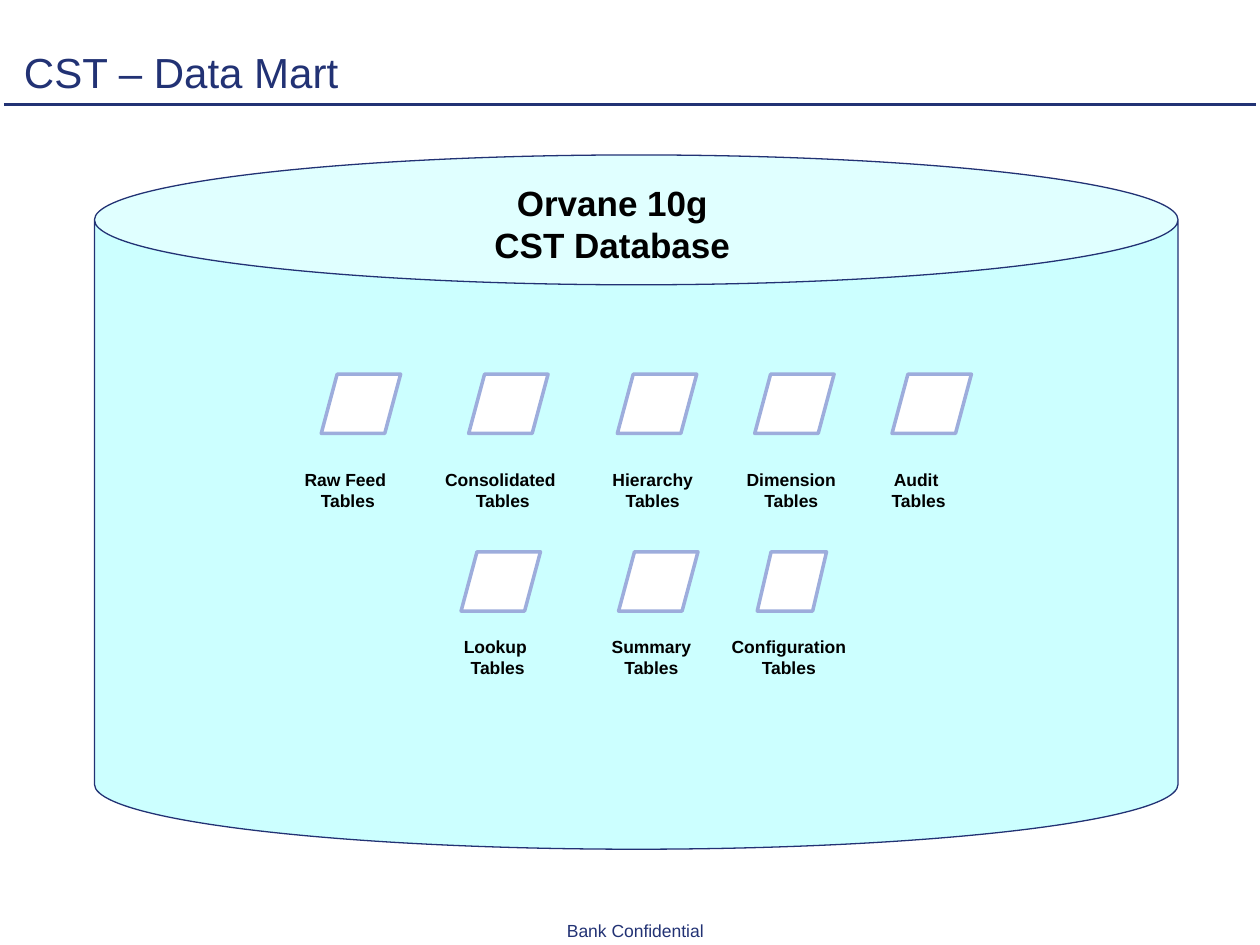
from dataclasses import dataclass
from typing import Any

from lxml import etree
from pptx import Presentation
from pptx import util as u
from pptx.dml.color import RGBColor
from pptx.enum import shapes, text
from pptx.oxml.ns import qn

# Parallelogram left and width, label left and width, label lines
ROWS = [
    (2.97, 3.67, [
        (2.55, 0.63, 2.19, 1.14, ["Raw Feed ", "Tables"]),
        (3.72, 0.63, 3.28, 1.42, ["Consolidated ", "Tables"]),
        (4.9, 0.63, 4.69, 0.98, ["Hierarchy", "Tables"]),
        (5.99, 0.63, 5.71, 1.14, ["Dimension", "Tables"]),
        (7.08, 0.63, 6.72, 1.14, ["Audit ", "Tables"]),
    ]),
    (4.38, 5, [
        (3.66, 0.63, 3.38, 1.14, ["Lookup ", "Tables"]),
        (4.91, 0.63, 4.6, 1.14, ["Summary", "Tables"]),
        (6.01, 0.55, 5.69, 1.14, ["Configuration Tables"]),
    ]),
]


def color(value):
    return RGBColor.from_string(value)


def inches(*lengths):
    return [u.Inches(length) for length in lengths]


def write(frame, lines, size, ink, font="Arial", bold=False, align=text.PP_ALIGN.LEFT,
          anchor=text.MSO_ANCHOR.TOP, margins=(0.1, 0.05), spacing=None):
    frame.word_wrap = True
    frame.auto_size = text.MSO_AUTO_SIZE.SHAPE_TO_FIT_TEXT
    frame.vertical_anchor = anchor
    frame.margin_left = frame.margin_right = u.Inches(margins[0])
    frame.margin_top = frame.margin_bottom = u.Inches(margins[1])
    for index, line in enumerate(lines):
        paragraph = frame.add_paragraph() if index else frame.paragraphs[0]
        paragraph.text = line
        paragraph.alignment = align
        paragraph.line_spacing = spacing
        paragraph.font.name = font
        paragraph.font.size = u.Pt(size)
        paragraph.font.bold = bold
        paragraph.font.color.rgb = color(ink)


@dataclass
class Deck:
    slide: Any
    navy: str = "223274"
    black: str = "000000"
    white: str = "FFFFFF"
    aqua: str = "CCFFFF"
    lavender: str = "9DADDC"

    def title(self, wording, *box):
        shape = self.slide.shapes.title
        shape.left, shape.top, shape.width, shape.height = inches(*box)
        write(shape.text_frame, [wording], 24, self.navy, anchor=text.MSO_ANCHOR.BOTTOM,
              margins=(0.02, 0.01), spacing=0.9)

    def rule(self, *ends):
        line = self.slide.shapes.add_connector(shapes.MSO_CONNECTOR.STRAIGHT, *inches(*ends))
        line.line.color.rgb = color(self.navy)
        line.line.width = u.Pt(1.75)
        etree.SubElement(line._element.spPr, qn("a:effectLst"))

    def shape(self, kind, fill, outline, weight, *box):
        shape = self.slide.shapes.add_shape(kind, *inches(*box))
        shape.shadow.inherit = False
        shape.fill.solid()
        shape.fill.fore_color.rgb = color(fill)
        shape.line.color.rgb = color(outline)
        shape.line.width = u.Pt(weight)
        return shape

    def database(self, *box):
        can = self.shape(shapes.MSO_SHAPE.CAN, self.aqua, self.navy, 0.75, *box)
        can.adjustments[0] = 0.187

    def table_icon(self, *box):
        self.shape(shapes.MSO_SHAPE.FLOWCHART_DATA, self.white, self.lavender, 2, *box)

    def label(self, lines, size, *box):
        frame = self.slide.shapes.add_textbox(*inches(*box)).text_frame
        write(frame, lines, size, self.black, bold=True, align=text.PP_ALIGN.CENTER)

    def footer(self, wording, *box):
        frame = self.slide.shapes.add_textbox(*inches(*box)).text_frame
        write(frame, [wording], 10, self.navy, margins=(0, 0))


def main():
    presentation = Presentation()
    presentation.slide_width, presentation.slide_height = inches(10, 7.5)
    title_only = presentation.slide_layouts[5]
    deck = Deck(presentation.slides.add_slide(title_only))

    deck.rule(0.03, 0.83, 9.97, 0.83)
    deck.footer("Bank Confidential", 4.5, 7.3, 1.2, 0.17)
    deck.title("CST – Data Mart", 0.17, 0.39, 8.67, 0.39)
    deck.database(0.75, 1.23, 8.6, 5.51)
    deck.label(["Orvane 10g", "CST Database"], 20, 2.93, 1.39, 3.86, 0.77)
    for icon_top, label_top, tables in ROWS:
        for icon_left, icon_width, label_left, label_width, lines in tables:
            deck.table_icon(icon_left, icon_top, icon_width, 0.47)
            deck.label(lines, 10, label_left, label_top, label_width, 0.44)

    presentation.save("out.pptx")


if __name__ == "__main__":
    main()
